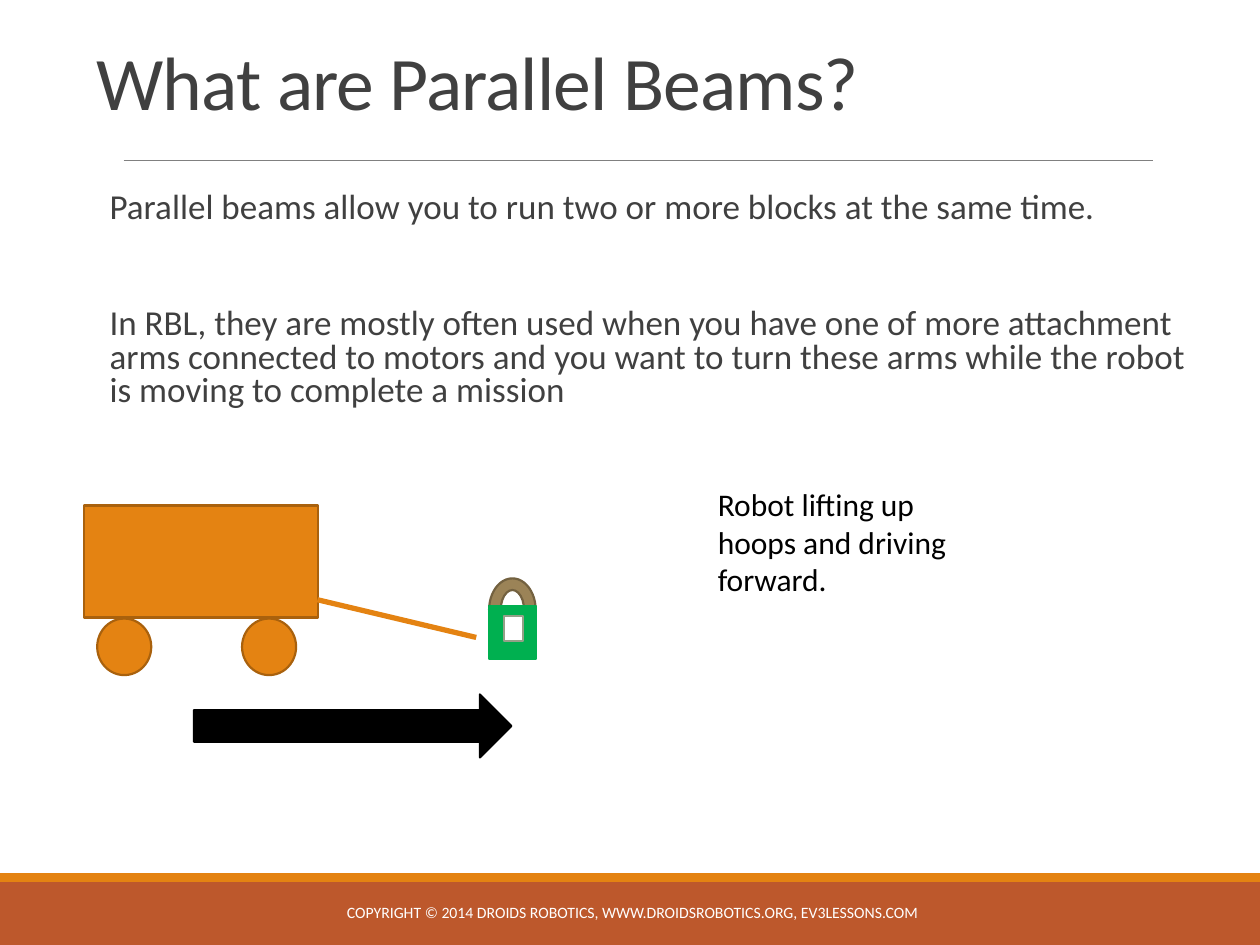
from dataclasses import dataclass

from lxml.etree import SubElement
from pptx import Presentation
from pptx.dml.color import RGBColor
from pptx.enum.shapes import MSO_CONNECTOR as Connector, MSO_SHAPE as Shape
from pptx.enum.text import MSO_ANCHOR as Anchor, PP_ALIGN as Align
from pptx.oxml.ns import qn
from pptx.util import Cm, Pt


@dataclass(frozen=True)
class Theme:
    font: str = "Calibri"
    title_size: float = 43.2
    body_size: float = 20
    caption_size: float = 18
    footer_size: float = 9
    outline: float = 1.25
    text: str = "404040"
    black: str = "000000"
    white: str = "FFFFFF"
    rule: str = "808080"
    orange: str = "E48312"
    orange_edge: str = "A9610D"
    rust: str = "BD582C"
    green: str = "00B050"
    hoop: str = "9B8357"
    hoop_edge: str = "736140"
    window_edge: str = "94A088"


THEME = Theme()


def rgb(color):
    return RGBColor.from_string(color)


def add_text(page, paragraphs, area, size, color, anchor=Anchor.TOP,
             align=Align.LEFT, line_spacing=1.0):
    box = page.shapes.add_textbox(*map(Cm, area))
    frame = box.text_frame
    frame.word_wrap = True
    frame.vertical_anchor = anchor
    frame.text = "\n".join(paragraphs)
    for para in frame.paragraphs:
        para.alignment = align
        para.line_spacing = line_spacing
        for span in para.runs:
            span.font.name = THEME.font
            span.font.size = Pt(size)
            span.font.color.rgb = rgb(color)
    return frame


def add_shape(page, kind, area, fill, edge=None):
    shape = page.shapes.add_shape(kind, *map(Cm, area))
    shape.shadow.inherit = False
    shape.fill.solid()
    shape.fill.fore_color.rgb = rgb(fill)
    if edge:
        shape.line.color.rgb = rgb(edge)
        shape.line.width = Pt(THEME.outline)
    else:
        shape.line.fill.background()


def add_line(page, start, end, color, width):
    line = page.shapes.add_connector(
        Connector.STRAIGHT, *map(Cm, (*start, *end)))
    line.line.color.rgb = rgb(color)
    line.line.width = Pt(width)
    SubElement(line._element.spPr, qn("a:effectLst"))


def add_backdrop(page):
    add_shape(page, Shape.RECTANGLE, (0, 17.78, 25.4, 1.27), THEME.rust)
    add_shape(page, Shape.RECTANGLE, (0, 17.6, 25.4, 0.18), THEME.orange)
    add_line(page, (2.49, 3.23), (23.24, 3.23), THEME.rule, 0.5)


def add_title(page):
    frame = add_text(page, ["What are Parallel Beams?"],
                     (1.7, 0.94, 17.63, 1.73), THEME.title_size, THEME.text,
                     anchor=Anchor.BOTTOM, line_spacing=0.85)
    # Letter spacing in hundredths of a point
    frame.paragraphs[0].runs[0].font._element.set("spc", "-50")


def add_body(page):
    frame = add_text(page, [
        "Parallel beams allow you to run two or more blocks at the same time.",
        "In RBL, they are mostly often used when you have one of more "
        "attachment arms connected to motors and you want to turn these arms "
        "while the robot is moving to complete a mission",
    ], (1.96, 3.76, 22.17, 5.03), THEME.body_size, THEME.text,
        line_spacing=0.8)
    frame.margin_left = Cm(0.25)
    frame.margin_right = 0
    frame.paragraphs[1].space_before = Pt(47)


def add_robot(page):
    add_shape(page, Shape.RECTANGLE, (1.7, 10.19, 4.72, 2.26),
              THEME.orange, THEME.orange_edge)
    for wheel_left in (1.96, 4.88):
        add_shape(page, Shape.OVAL, (wheel_left, 12.47, 1.09, 1.14),
                  THEME.orange, THEME.orange_edge)


def add_hoop(page):
    add_shape(page, Shape.BLOCK_ARC, (9.86, 11.66, 0.94, 1.27),
              THEME.hoop, THEME.hoop_edge)
    add_shape(page, Shape.RECTANGLE, (9.86, 12.22, 0.94, 1.07),
              THEME.green, THEME.green)
    add_shape(page, Shape.RECTANGLE, (10.16, 12.42, 0.38, 0.51),
              THEME.white, THEME.window_edge)


def main():
    deck = Presentation()
    deck.slide_width, deck.slide_height = Cm(25.4), Cm(19.05)
    page = deck.slides.add_slide(deck.slide_layouts[6])

    add_backdrop(page)
    add_title(page)
    add_body(page)
    add_text(page, ["COPYRIGHT © 2014 DROIDS ROBOTICS, "
                    "WWW.DROIDSROBOTICS.ORG, EV3LESSONS.COM"],
             (4.67, 17.88, 16.15, 1.02), THEME.footer_size, THEME.white,
             anchor=Anchor.MIDDLE, align=Align.CENTER)
    add_text(page, ["Robot lifting up hoops and driving forward."],
             (14.22, 9.65, 5.77, 2.57), THEME.caption_size, THEME.black)
    add_robot(page)
    add_hoop(page)
    add_line(page, (6.4, 12.09), (9.6, 12.85), THEME.orange, 3)
    add_shape(page, Shape.RIGHT_ARROW, (3.91, 14, 6.4, 1.27),
              THEME.black, THEME.black)

    deck.save("out.pptx")


if __name__ == "__main__":
    main()
